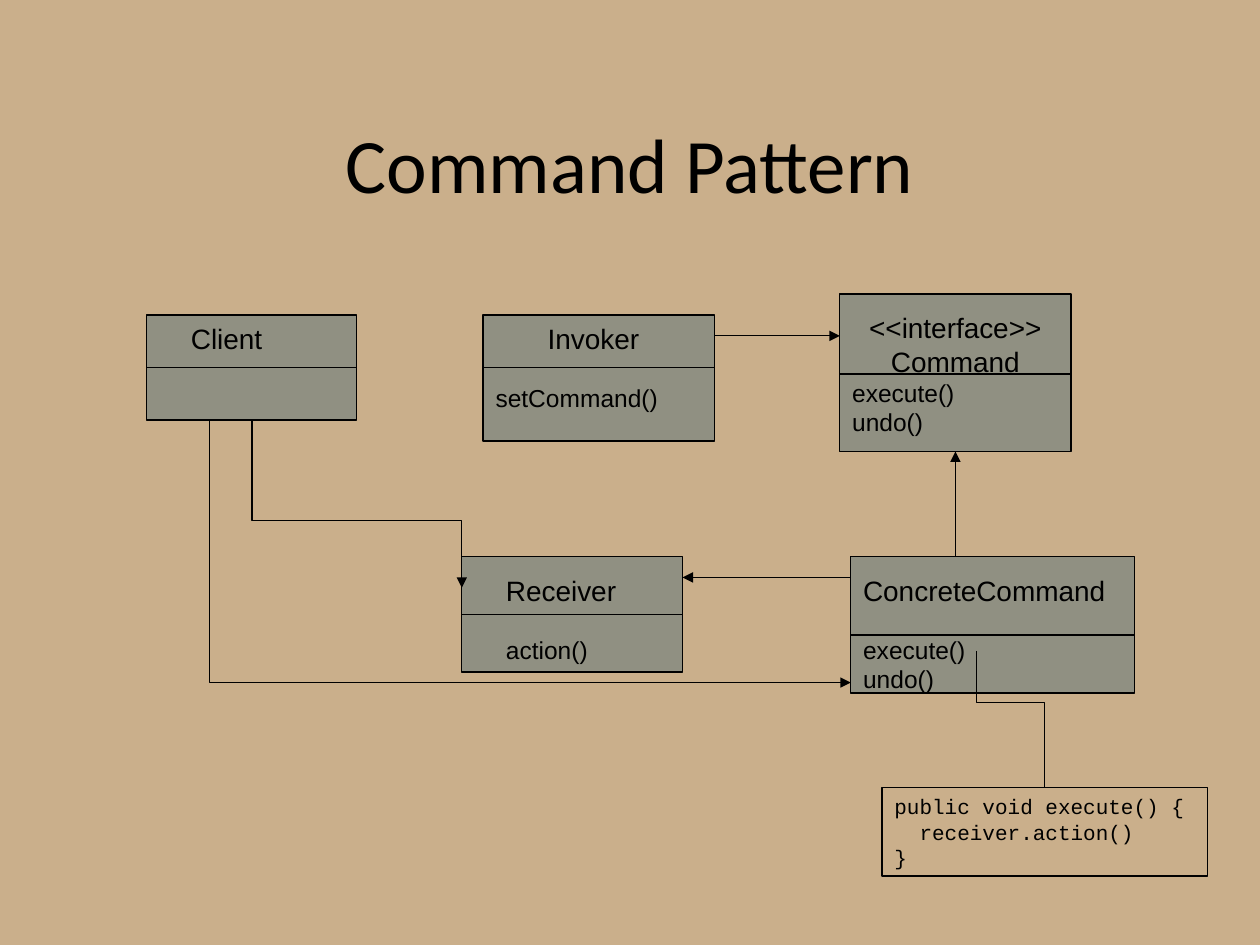
import pptx
import pptx.dml.color
import pptx.enum.shapes
import pptx.enum.text
import pptx.oxml.ns
import pptx.util
from lxml import etree

Cm, Pt = pptx.util.Cm, pptx.util.Pt
ALIGN = pptx.enum.text.PP_ALIGN
ANCHOR = pptx.enum.text.MSO_ANCHOR
CONNECTOR = pptx.enum.shapes.MSO_CONNECTOR
RECTANGLE = pptx.enum.shapes.MSO_SHAPE.RECTANGLE
qn = pptx.oxml.ns.qn

SAND, OLIVE, BLACK = "CAAF8B", "909082", "000000"
TITLE = "Command Pattern"

# Lengths in cm. Each class: box, text area, divider height, heading lines,
# methods, centred heading, gap in points above the methods
CLASSES = {
    "Client": ((2.96, 6.35, 4.23, 2.12), (3.6, 6.35, 2.54, 0.94), 7.41,
               ["Client"], [], False, 0),
    "Invoker": ((9.74, 6.35, 4.66, 2.54), (9.74, 6.35, 4.45, 2.13), 7.41,
                ["Invoker"], ["setCommand()"], True, 16),
    "Command": ((16.93, 5.93, 4.66, 3.17), (16.93, 6.14, 4.66, 2.79), 7.54,
                ["<<interface>>", "Command"], ["execute()", "undo()"], True, 0),
    "Receiver": ((9.31, 11.22, 4.45, 2.33), (9.95, 11.43, 2.75, 2.13), 12.39,
                 ["Receiver"], ["action()"], False, 16),
    "ConcreteCommand": ((17.15, 11.22, 5.72, 2.75), (17.15, 11.43, 5.72, 2.72), 12.8,
                        ["ConcreteCommand"], ["execute()", "undo()"], False, 16),
}
CODE_BOX = (17.78, 15.88, 6.56, 1.78)
CODE = ["public void execute() {", "  receiver.action()", "}"]

# Start, end
STRAIGHT_ARROWS = [
    ((14.4, 6.77), (16.93, 6.77)),
    ((17.15, 11.64), (13.76, 11.64)),
]
# Start, end, bend position, leaves vertically, arrowhead
ELBOWS = [
    ((5.08, 8.47), (9.31, 11.85), 0.6, True, True),
    ((4.23, 8.47), (17.15, 13.76), 0, False, True),
    ((19.69, 13.12), (21.06, 15.88), 0.38, True, False),
]


def color(hex_text):
    return pptx.dml.color.RGBColor.from_string(hex_text)


def outline(shape):
    shape.line.color.rgb = color(BLACK)
    shape.line.width = Pt(0.75)


def add_box(area, fill=None):
    box = slide.shapes.add_shape(RECTANGLE, *map(Cm, area))
    box.shadow.inherit = False
    if fill:
        box.fill.solid()
        box.fill.fore_color.rgb = color(fill)
    else:
        box.fill.background()
    outline(box)
    return box


def write(shape, lines, anchor=ANCHOR.TOP):
    """Lines hold text, size, font, alignment and space before."""
    frame = shape.text_frame
    frame.word_wrap = True
    frame.vertical_anchor = anchor
    frame.text = "\n".join(line[0] for line in lines)
    for paragraph, (_, size, font, align, gap) in zip(frame.paragraphs, lines):
        paragraph.alignment = align
        if gap:
            paragraph.space_before = Pt(gap)
        for run in paragraph.runs:
            run.font.size = Pt(size)
            run.font.name = font
            run.font.color.rgb = color(BLACK)


def add_line(start, end, arrow=False, kind=CONNECTOR.STRAIGHT):
    line = slide.shapes.add_connector(kind, *map(Cm, start + end))
    outline(line)
    if arrow:
        etree.SubElement(line.line._get_or_add_ln(), qn("a:tailEnd"), type="triangle")
    etree.SubElement(line._element.spPr, qn("a:effectLst"))
    return line


def add_elbow(start, end, bend, vertical, arrow):
    elbow = add_line(start, end, arrow, CONNECTOR.ELBOW)
    properties = elbow._element.spPr
    guides = properties.find(qn("a:prstGeom")).get_or_add_avLst()
    etree.SubElement(guides, qn("a:gd"), name="adj1", fmla=f"val {round(bend * 100000)}")
    if vertical:
        # Swap the sides about the centre, then turn the frame
        across, down = elbow.width, elbow.height
        elbow.left += (across - down) // 2
        elbow.top += (down - across) // 2
        elbow.width, elbow.height = down, across
        frame = properties.find(qn("a:xfrm"))
        frame.set("rot", "16200000")
        frame.set("flipH", "1")


presentation = pptx.Presentation()
presentation.slide_width, presentation.slide_height = Cm(25.4), Cm(19.05)
slide = presentation.slides.add_slide(presentation.slide_layouts[6])
slide.background.fill.solid()
slide.background.fill.fore_color.rgb = color(SAND)

# Title
title = slide.shapes.add_textbox(Cm(1.9), Cm(1.7), Cm(21.6), Cm(3.18))
write(title, [(TITLE, 44, "Calibri", ALIGN.CENTER, 0)], ANCHOR.MIDDLE)

# Classes
boxes = {}
for name, (area, text_area, divider, heading, methods, centred, gap) in CLASSES.items():
    boxes[name] = add_box(area, OLIVE)
    align = ALIGN.CENTER if centred else ALIGN.LEFT
    lines = [(text, 16, "Arial", align, 0) for text in heading]
    lines += [(text, 14, "Arial", ALIGN.LEFT, 0 if i else gap)
              for i, text in enumerate(methods)]
    write(slide.shapes.add_textbox(*map(Cm, text_area)), lines)
    left, _, width, _ = area
    add_line((left, divider), (left + width, divider))

# Code note
write(add_box(CODE_BOX), [(text, 12, "Courier New", ALIGN.LEFT, 0) for text in CODE])

# Relations
for start, end in STRAIGHT_ARROWS:
    add_line(start, end, arrow=True)
implements = add_line((19.26, 11.22), (19.26, 9.1), arrow=True)
implements.end_connect(boxes["Command"], 2)
for elbow in ELBOWS:
    add_elbow(*elbow)

presentation.save("out.pptx")
